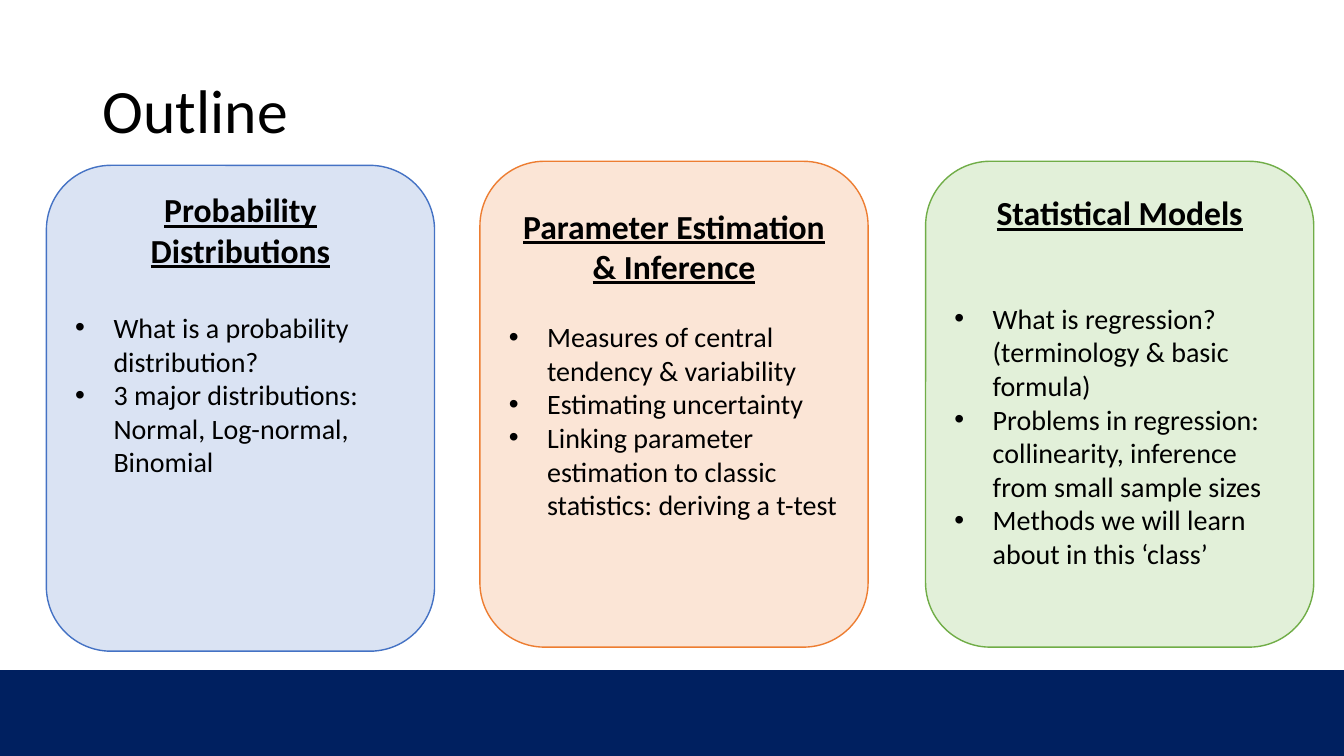
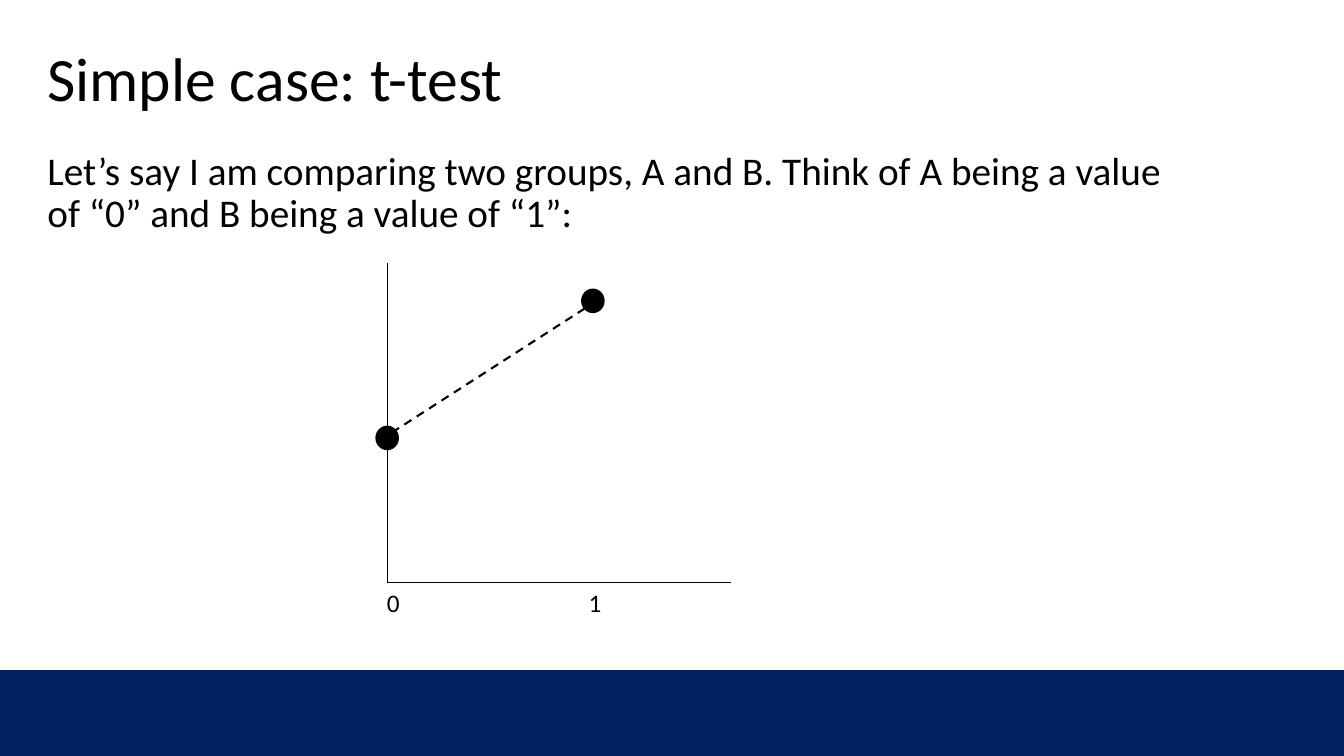
"""Build two statistics slides: an outline and a t-test sketch."""
from dataclasses import dataclass

from lxml.etree import SubElement
from pptx import Presentation
from pptx.dml.color import RGBColor as Rgb
from pptx.enum.dml import MSO_LINE as Dash
from pptx.enum.shapes import MSO_CONNECTOR as Link, MSO_SHAPE as Kind
from pptx.enum.text import MSO_ANCHOR as Anchor, MSO_AUTO_SIZE as Fit, PP_ALIGN as Align
from pptx.oxml.ns import qn
from pptx.util import Inches, Pt

FONT, BLACK, NAVY = "Calibri", "000000", "002060"
WIDE, HIGH = 13.33, 7.5
BAND_TOP = 6.65
CARD_W, CARD_H = 3.85, 4.82
DOT_W, DOT_H = 0.22, 0.23
HANG = 0.38


@dataclass(frozen=True)
class Card:
    left: float
    top: float
    fill: str
    edge: str
    head: str
    inset: float
    gap: float
    items: tuple[str, ...]


@dataclass(frozen=True)
class Line:
    start: tuple[float, float]
    end: tuple[float, float]
    width: float = 0.5
    dash: bool = False


CARDS = (
    Card(0.46, 1.64, "DAE3F3", "4472C4", "Probability Distributions", 0.05, 29, (
        "What is a probability distribution?",
        "3 major distributions: Normal, Log-normal, Binomial")),
    Card(4.76, 1.6, "FBE5D6", "ED7D31", "Parameter Estimation & Inference", 0.25, 24, (
        "Measures of central tendency & variability",
        "Estimating uncertainty",
        "Linking parameter estimation to classic statistics: deriving a t-test")),
    Card(9.18, 1.6, "E2F0D9", "70AD47", "Statistical Models", 0.12, 49, (
        "What is regression? (terminology & basic formula)",
        "Problems in regression: collinearity, inference from small sample sizes",
        "Methods we will learn about in this ‘class’")),
)
CORNER = (3.84, 5.78)
LINES = (
    Line((3.84, 2.61), CORNER),
    Line((7.25, 5.78), CORNER),
    Line((5.8, 3.06), (3.92, 4.27), 1.5, True),
)
DOTS = ((3.73, 4.23), (5.77, 2.87))


def tint(code: str) -> Rgb:
    return Rgb.from_string(code)


def put(frame, text: str, *, size: float, bold=False, under=False, align=Align.LEFT,
        before: float = 0, pitch: float = 1, bullet=False, color: str = BLACK) -> None:
    para = frame.paragraphs[0]
    if para.text:
        para = frame.add_paragraph()
    para.alignment, para.line_spacing = align, pitch
    para.space_before = Pt(before)
    run = para.add_run()
    run.text = text
    font = run.font
    font.name, font.size, font.bold, font.underline = FONT, Pt(size), bold, under
    font.color.rgb = tint(color)
    props = para._p.get_or_add_pPr()
    hang = Inches(HANG) if bullet else 0
    props.set("marL", str(hang))
    props.set("indent", str(-hang))
    if bullet:
        SubElement(props, qn("a:buFont")).set("typeface", "Arial")
        SubElement(props, qn("a:buChar")).set("char", "•")
    else:
        SubElement(props, qn("a:buNone"))


def place(shape, left: float, top: float, width: float, height: float) -> None:
    shape.left, shape.top = Inches(left), Inches(top)
    shape.width, shape.height = Inches(width), Inches(height)


def block(slide, kind: Kind, left: float, top: float, width: float, height: float,
          fill: str, edge: str):
    shape = slide.shapes.add_shape(
        kind, Inches(left), Inches(top), Inches(width), Inches(height))
    shape.shadow.inherit = False
    shape.fill.solid()
    shape.fill.fore_color.rgb = tint(fill)
    shape.line.color.rgb = tint(edge)
    shape.line.width = Pt(1)
    return shape


def stroke(slide, line: Line) -> None:
    shape = slide.shapes.add_connector(
        Link.STRAIGHT, *(Inches(n) for n in line.start + line.end))
    shape.line.color.rgb = tint(BLACK)
    shape.line.width = Pt(line.width)
    if line.dash:
        shape.line.dash_style = Dash.DASH
    SubElement(shape.element.spPr, qn("a:effectLst"))


def title(slide, text: str, left: float, top: float) -> None:
    shape = slide.shapes.title
    place(shape, left, top, 11.5, 1.45)
    frame = shape.text_frame
    frame.auto_size, frame.vertical_anchor = Fit.NONE, Anchor.MIDDLE
    put(frame, text, size=44, pitch=0.9)


def panel(slide, card: Card) -> None:
    shape = block(slide, Kind.ROUNDED_RECTANGLE, card.left, card.top,
                  CARD_W, CARD_H, card.fill, card.edge)
    frame = shape.text_frame
    frame.word_wrap, frame.vertical_anchor = True, Anchor.TOP
    frame.margin_top = Inches(card.inset)
    put(frame, card.head, size=24, bold=True, under=True, align=Align.CENTER)
    for i, item in enumerate(card.items):
        put(frame, item, size=20, bullet=True, before=0 if i else card.gap)


def brand(deck, slide) -> None:
    band = block(slide, Kind.RECTANGLE, 0, BAND_TOP, WIDE, HIGH - BAND_TOP, NAVY, NAVY)
    band.element.nvSpPr.cNvPr.set("id", "99")
    deck.slide_master.element.cSld.spTree.insert(2, band.element)


def outline(deck):
    slide = deck.slides.add_slide(deck.slide_layouts[5])
    title(slide, "Outline", 0.92, 0.4)
    for card in CARDS:
        panel(slide, card)
    return slide


def sketch(deck) -> None:
    slide = deck.slides.add_slide(deck.slide_layouts[1])
    title(slide, "Simple case: t-test", 0.37, 0.08)
    body = slide.placeholders[1]
    place(body, 0.37, 1.45, 11.5, 1.08)
    body.text_frame.auto_size = Fit.NONE
    put(body.text_frame, "Let’s say I am comparing two groups, A and B. Think of A being "
        "a value of “0” and B being a value of “1”:", size=28, before=10, pitch=0.9)
    for line in LINES:
        stroke(slide, line)
    for left, top in DOTS:
        block(slide, Kind.OVAL, left, top, DOT_W, DOT_H, BLACK, BLACK)
    for n in range(2):
        label = slide.shapes.add_textbox(
            Inches(3.74 + 2 * n), Inches(5.78), Inches(0.4), Inches(0.4))
        label.text_frame.word_wrap = True
        put(label.text_frame, str(n), size=18)


def main() -> None:
    deck = Presentation()
    deck.slide_width, deck.slide_height = Inches(WIDE), Inches(HIGH)
    brand(deck, outline(deck))
    sketch(deck)
    deck.save("out.pptx")


if __name__ == "__main__":
    main()
